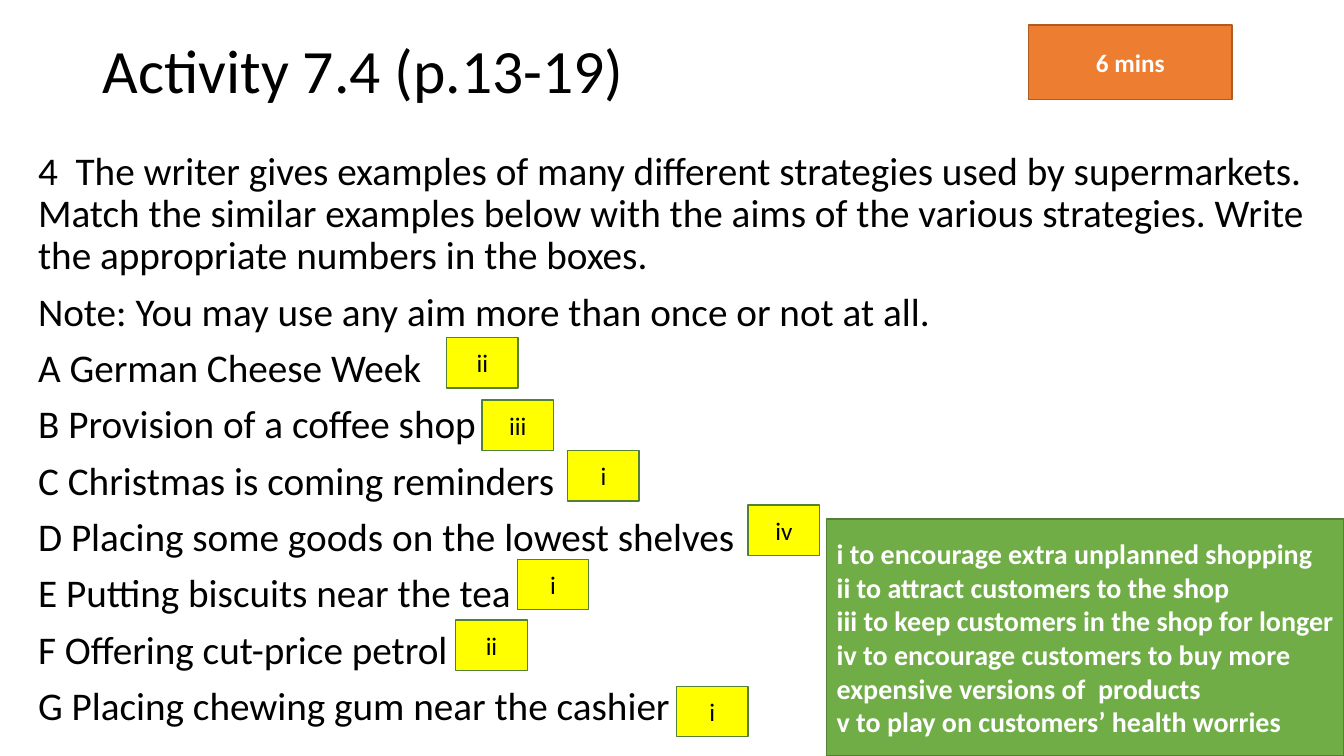
from dataclasses import dataclass

from pptx import Presentation
from pptx import util as u
from pptx.dml import color
from pptx.enum import shapes, text


@dataclass(frozen=True)
class Theme:
    font: str = "Calibri"
    black: str = "000000"
    white: str = "FFFFFF"
    yellow: str = "FFFF00"
    green: str = "70AD47"
    dark_green: str = "538035"
    orange: str = "ED7D31"
    dark_orange: str = "AF5C24"
    title_size: int = 44
    body_size: int = 28
    aims_size: int = 20
    label_size: int = 18


theme = Theme()


def write(box, lines, size, ink=theme.black, bold=False, align=text.PP_ALIGN.LEFT,
          anchor=text.MSO_ANCHOR.MIDDLE, line_spacing=1.0, gap=0):
    frame = box.text_frame
    frame.word_wrap = True
    frame.vertical_anchor = anchor
    for index, line in enumerate(lines):
        para = frame.paragraphs[0] if index == 0 else frame.add_paragraph()
        para.alignment = align
        para.line_spacing = line_spacing
        para.space_before = u.Pt(gap if index else 0)
        span = para.add_run()
        span.text = line
        span.font.name = theme.font
        span.font.size = u.Pt(size)
        span.font.bold = bold
        span.font.color.rgb = color.RGBColor.from_string(ink)


def add_panel(page, left, top, width, height, fill, line):
    panel = page.shapes.add_shape(shapes.MSO_SHAPE.RECTANGLE, u.Inches(left),
                                  u.Inches(top), u.Inches(width), u.Inches(height))
    panel.shadow.inherit = False
    panel.fill.solid()
    panel.fill.fore_color.rgb = color.RGBColor.from_string(fill)
    panel.line.color.rgb = color.RGBColor.from_string(line)
    panel.line.width = u.Pt(1)
    return panel


deck = Presentation()
deck.slide_width = u.Inches(13.33)
deck.slide_height = u.Inches(7.5)
page = deck.slides.add_slide(deck.slide_layouts[6])

title = page.shapes.add_textbox(u.Inches(0.92), u.Inches(0), u.Inches(11.5), u.Inches(1.45))
write(title, ["Activity 7.4 (p.13-19)"], theme.title_size, line_spacing=0.9)

task_lines = [
    "4  The writer gives examples of many different strategies used by supermarkets. "
    "Match the similar examples below with the aims of the various strategies. "
    "Write the appropriate numbers in the boxes.",
    "Note: You may use any aim more than once or not at all.",
    "A German Cheese Week",
    "B Provision of a coffee shop",
    "C Christmas is coming reminders",
    "D Placing some goods on the lowest shelves",
    "E Putting biscuits near the tea",
    "F Offering cut-price petrol",
    "G Placing chewing gum near the cashier",
]
task = page.shapes.add_textbox(u.Inches(0.28), u.Inches(1.45), u.Inches(12.86), u.Inches(6.05))
write(task, task_lines, theme.body_size, anchor=text.MSO_ANCHOR.TOP, line_spacing=0.9, gap=10)

aim_lines = [
    "i to encourage extra unplanned shopping",
    "ii to attract customers to the shop",
    "iii to keep customers in the shop for longer",
    "iv to encourage customers to buy more expensive versions of  products",
    "v to play on customers’ health worries",
]
aims = add_panel(page, 8.2, 5.15, 5.13, 2.35, theme.green, theme.dark_green)
write(aims, aim_lines, theme.aims_size, ink=theme.white, bold=True)

answers = [
    ("ii", 4.43, 3.35),
    ("iii", 4.78, 3.97),
    ("i", 5.63, 4.47),
    ("iv", 7.42, 5.01),
    ("i", 5.13, 5.55),
    ("ii", 4.52, 6.15),
    ("i", 6.71, 6.81),
]
for numeral, left, top in answers:
    answer = add_panel(page, left, top, 0.71, 0.5, theme.yellow, theme.dark_green)
    write(answer, [numeral], theme.label_size, align=text.PP_ALIGN.CENTER)

timer = add_panel(page, 10.2, 0.25, 2.02, 0.74, theme.orange, theme.dark_orange)
write(timer, ["6 mins"], theme.label_size, ink=theme.white, bold=True, align=text.PP_ALIGN.CENTER)

deck.save("out.pptx")
